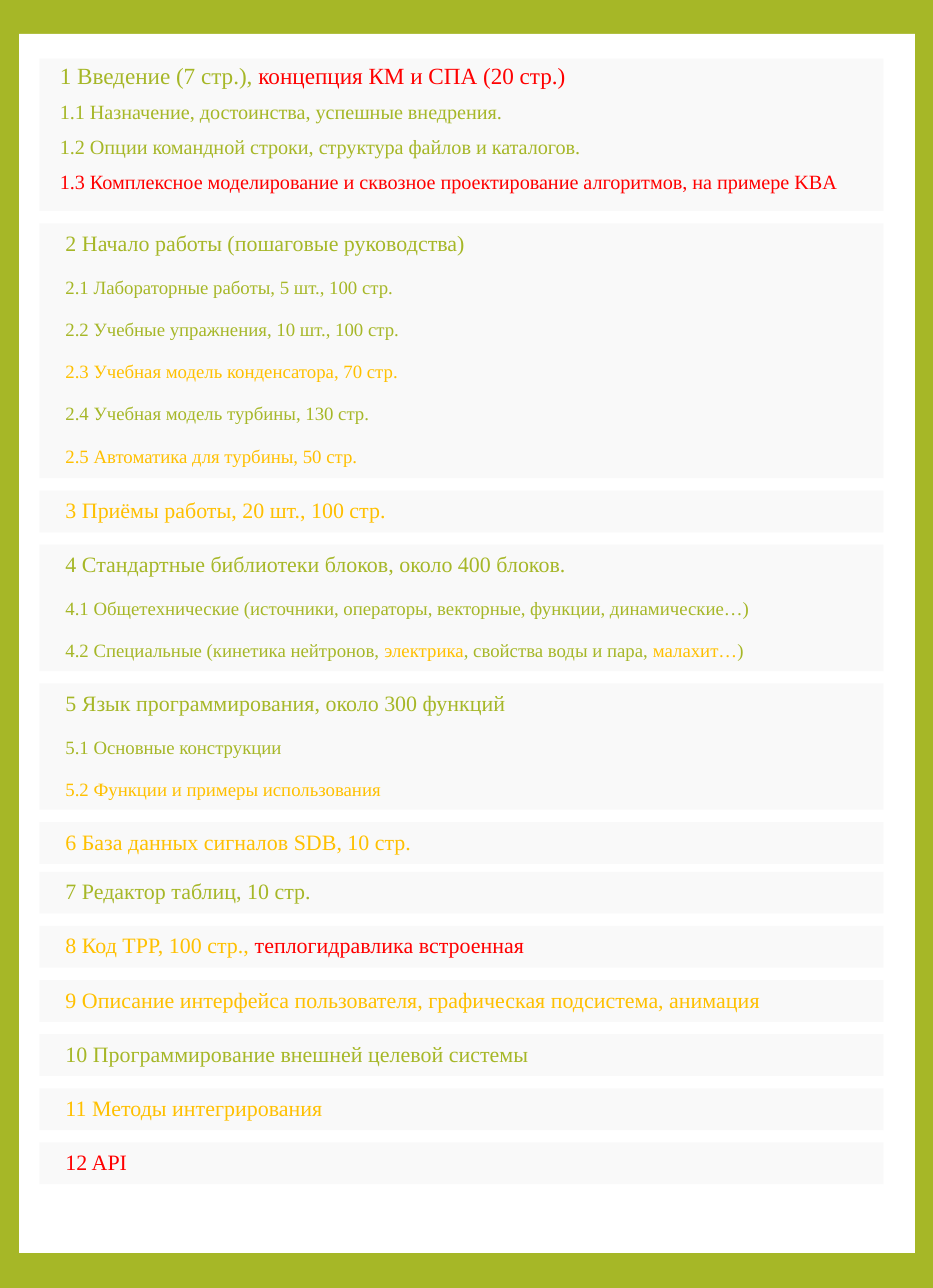
from lxml.etree import SubElement
from pptx import Presentation
from pptx.dml.color import RGBColor
from pptx.enum.shapes import MSO_SHAPE
from pptx.enum.text import MSO_ANCHOR, MSO_AUTO_SIZE, PP_ALIGN
from pptx.oxml.ns import qn
from pptx.util import Inches, Pt

COLORS = {"green": "A6B727", "amber": "FFC000", "red": "FF0000",
          "panel": "F9F9F9", "sheet": "FFFFFF"}
FONT = "Times New Roman"
LEFT, WIDTH = 0.35, 7.48
GAP, TIGHT_GAP = 0.11, 0.07
HEIGHTS = {1: 0.37, 3: 1.12, 6: 2.26}

INTRODUCTION = [
    [("1 Введение (7 стр.), ", "green"), ("концепция КМ и СПА (20 стр.)", "red")],
    [("1.1 Назначение, достоинства, успешные внедрения.", "green")],
    [("1.2 Опции командной строки, структура файлов и каталогов.", "green")],
    [("1.3 Комплексное моделирование и сквозное проектирование алгоритмов, "
      "на примере KBA", "red")],
]
CHAPTERS = [
    [
        [("2 Начало работы (пошаговые руководства)", "green")],
        [("2.1 Лабораторные работы, 5 шт., 100 стр.", "green")],
        [("2.2 Учебные упражнения, 10 шт., 100 стр.", "green")],
        [("2.3 Учебная модель конденсатора, 70 стр.", "amber")],
        [("2.4 Учебная модель турбины, 130 стр.", "green")],
        [("2.5 Автоматика для турбины, 50 стр.", "amber")],
    ],
    [[("3 Приёмы работы, 20 шт., 100 стр.", "amber")]],
    [
        [("4 Стандартные библиотеки блоков, около 400 блоков.", "green")],
        [("4.1 Общетехнические (источники, операторы, векторные, функции, "
          "динамические…)", "green")],
        [("4.2 Специальные (кинетика нейтронов, ", "green"), ("электрика", "amber"),
         (", свойства воды и пара, ", "green"), ("малахит…", "amber"), (")", "green")],
    ],
    [
        [("5 Язык программирования, около 300 функций", "green")],
        [("5.1 Основные конструкции", "green")],
        [("5.2 Функции и примеры использования", "amber")],
    ],
    [[("6 База данных сигналов SDB, 10 стр.", "amber")]],
    [[("7 Редактор таблиц, 10 стр.", "green")]],
    [[("8 Код TPP, 100 стр., ", "amber"), ("теплогидравлика встроенная", "red")]],
    [[("9 Описание интерфейса пользователя, графическая подсистема, анимация", "amber")]],
    [[("10 Программирование внешней целевой системы", "green")]],
    [[("11 Методы интегрирования", "amber")]],
    [[("12 API", "red")]],
]
DATABASE_CHAPTER = CHAPTERS[4]


def paint(fill, color):
    fill.solid()
    fill.fore_color.rgb = RGBColor.from_string(COLORS[color])


def place(shape, left, top, width, height):
    shape.left, shape.top = Inches(left), Inches(top)
    shape.width, shape.height = Inches(width), Inches(height)


def add_rectangle(page, left, top, width, height, color):
    box = page.shapes.add_shape(MSO_SHAPE.RECTANGLE, Inches(left), Inches(top),
                                Inches(width), Inches(height))
    box.shadow.inherit = False
    paint(box.fill, color)
    box.line.fill.background()
    return box


def format_paragraph(paragraph, space):
    paragraph.alignment = PP_ALIGN.LEFT
    paragraph.line_spacing = 0.9
    paragraph.space_before = Pt(space)
    paragraph.space_after = Pt(0)
    properties = paragraph._p.get_or_add_pPr()
    properties.set("marL", str(Inches(0.08)))
    properties.set("indent", "0")
    SubElement(properties, qn("a:buNone"))


def write_chapter(box, lines, heading_size, item_size, space, side, edge):
    frame = box.text_frame
    frame.word_wrap = True
    frame.auto_size = MSO_AUTO_SIZE.NONE
    frame.vertical_anchor = MSO_ANCHOR.TOP
    frame.margin_left = frame.margin_right = Inches(side)
    frame.margin_top = frame.margin_bottom = Inches(edge)
    for number, line in enumerate(lines):
        paragraph = frame.add_paragraph() if number else frame.paragraphs[0]
        format_paragraph(paragraph, space)
        for text, color in line:
            span = paragraph.add_run()
            span.text = text
            span.font.name = FONT
            span.font.size = Pt(item_size if number else heading_size)
            span.font.color.rgb = RGBColor.from_string(COLORS[color])


def add_chapters(page):
    top = 1.98
    for lines in CHAPTERS:
        height = HEIGHTS[len(lines)]
        box = add_rectangle(page, LEFT, top, WIDTH, height, "panel")
        write_chapter(box, lines, 14, 12, 14, 0.15, 0.08)
        top += height + (TIGHT_GAP if lines is DATABASE_CHAPTER else GAP)


def main():
    deck = Presentation()
    deck.slide_width, deck.slide_height = Inches(8.27), Inches(11.42)
    page = deck.slides.add_slide(deck.slide_layouts[1])
    paint(page.background.fill, "green")

    title = page.shapes.title.element
    title.getparent().remove(title)
    introduction = page.placeholders[1]
    sheet = add_rectangle(page, 0.17, 0.3, 7.94, 10.81, "sheet")
    introduction.element.addprevious(sheet.element)

    place(introduction, LEFT, 0.52, WIDTH, 1.35)
    paint(introduction.fill, "panel")
    write_chapter(introduction, INTRODUCTION, 14.8, 12.9, 8.3, 0.1, 0.05)
    add_chapters(page)
    deck.save("out.pptx")


main()
